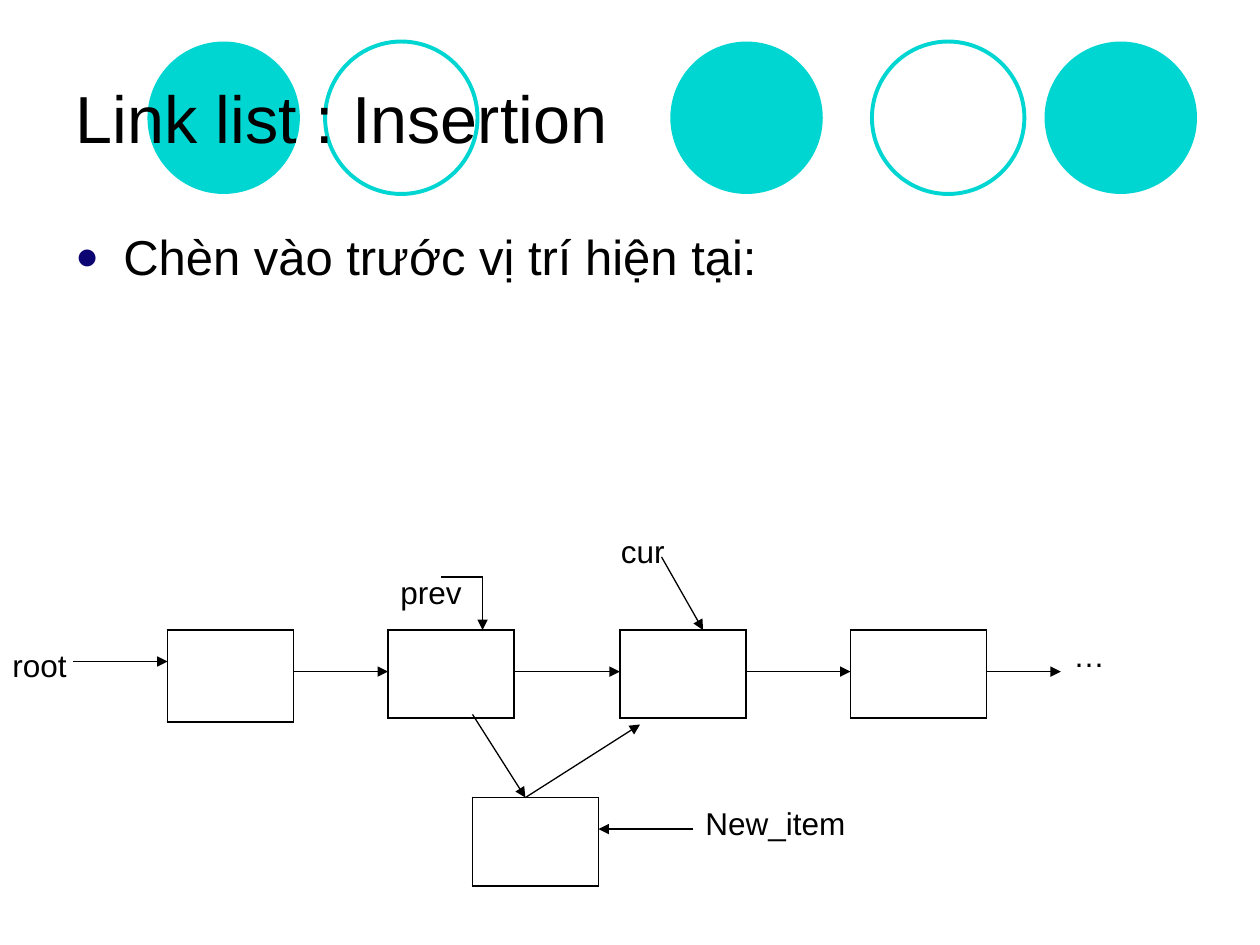
from lxml import etree
from pptx import Presentation
from pptx import util as u
from pptx.dml.color import RGBColor
from pptx.enum import shapes, text
from pptx.oxml import ns

COLORS = {"ink": "000000", "circle": "00D6D1", "bullet": "0C0472"}
FONT = "Arial"
INSETS = {"margin_left": 0.1, "margin_right": 0.1, "margin_top": 0.05, "margin_bottom": 0.05}


def color(name):
    return RGBColor.from_string(COLORS[name])


def add_xml(parent, tag, **attributes):
    child = etree.SubElement(parent, ns.qn(tag))
    for name, value in attributes.items():
        child.set(name, value)
    return child


def add_text(slide, box, words, size, anchor=text.MSO_ANCHOR.TOP):
    frame = slide.shapes.add_textbox(*map(u.Inches, box)).text_frame
    frame.word_wrap = True
    frame.vertical_anchor = anchor
    for name, inset in INSETS.items():
        setattr(frame, name, u.Inches(inset))
    paragraph = frame.paragraphs[0]
    run = paragraph.add_run()
    run.text = words
    for name, value in {"name": FONT, "size": u.Pt(size)}.items():
        setattr(run.font, name, value)
    run.font.color.rgb = color("ink")
    return paragraph


def add_arrow(slide, start, end, head=True):
    line = slide.shapes.add_connector(
        shapes.MSO_CONNECTOR.STRAIGHT, *map(u.Inches, (*start, *end)))
    line.line.color.rgb = color("ink")
    line.line.width = u.Pt(0.75)
    if head:
        add_xml(line.line._get_or_add_ln(), "a:tailEnd", type="triangle")
    add_xml(line._element.spPr, "a:effectLst")


def add_node(slide, left, top, width=1, height=0.7):
    """Place one list node: a one-cell table with a thin border."""
    box = map(u.Inches, (left, top, width, height))
    table = slide.shapes.add_table(1, 1, *box).table
    table.first_row = table.horz_banding = False
    cell = table.cell(0, 0)
    properties = cell._tc.get_or_add_tcPr()
    for side in ("a:lnL", "a:lnR", "a:lnT", "a:lnB"):
        border = add_xml(properties, side, w=str(u.Pt(1.08)))
        add_xml(add_xml(border, "a:solidFill"), "a:srgbClr", val=COLORS["ink"])
    cell.fill.background()


def add_header(slide, left, top, width, height):
    diameter = 1.21
    circles = [(0.67, True), (2.08, False), (4.82, True), (6.42, False), (7.79, True)]
    for offset, filled in circles:
        box = map(u.Inches, (left + offset, top + 0.03, diameter, diameter))
        circle = slide.shapes.add_shape(shapes.MSO_SHAPE.OVAL, *box)
        circle.shadow.inherit = False
        if filled:
            circle.fill.solid()
            circle.fill.fore_color.rgb = color("circle")
            circle.line.fill.background()
        else:
            circle.fill.background()
            circle.line.color.rgb = color("circle")
            circle.line.width = u.Pt(2.25)
    add_text(slide, (left, top, width, height), "Link list : Insertion", 38,
             text.MSO_ANCHOR.MIDDLE)


def add_body(slide, left, top, width, height):
    paragraph = add_text(slide, (left, top, width, height),
                         "Chèn vào trước vị trí hiện tại:", 28)
    paragraph.space_before = u.Pt(7)
    properties = paragraph._p.get_or_add_pPr()
    properties.set("marL", str(u.Inches(0.38)))
    properties.set("indent", str(-u.Inches(0.38)))
    add_xml(add_xml(properties, "a:buClr"), "a:srgbClr", val=COLORS["bullet"])
    add_xml(properties, "a:buSzPct", val="80000")
    add_xml(properties, "a:buFont", typeface=FONT)
    add_xml(properties, "a:buChar", char="●")


def add_list_diagram(slide, left, top):
    """Draw the linked list, with its row of nodes at the given top."""
    def at(x, y):
        return left + x, top + y

    nodes = [(1.33, 1, 0.73), (3.08, 1, 0.7), (4.92, 1, 0.7), (6.75, 1.08, 0.7)]
    for x, width, height in nodes:
        add_node(slide, *at(x, 0), width, height)
    add_node(slide, *at(3.75, 1.33))

    labels = [("root", 0, 0.08, 1.08), ("prev", 3.08, -0.5, 0.92),
              ("cur", 4.83, -0.83, 0.83), ("…", 8.42, 0, 1),
              ("New_item", 5.5, 1.33, 2.5)]
    for words, x, y, width in labels:
        add_text(slide, (*at(x, y), width, 0.4), words, 18)

    next_starts = [x for x, *_ in nodes[1:]] + [8.42]
    for (x, width, _), next_start in zip(nodes, next_starts):
        add_arrow(slide, at(x + width, 0.33), at(next_start, 0.33))

    pointers = [((0.58, 0.25), (1.33, 0.25)),    # root
                ((3.83, -0.42), (3.83, 0)),      # prev
                ((5.25, -0.58), (5.58, 0)),      # cur
                ((5.5, 1.58), (4.75, 1.58)),     # New_item
                ((3.75, 0.67), (4.17, 1.33)),    # prev to new node
                ((4.17, 1.33), (5.08, 0.75))]    # new node to cur
    for start, end in pointers:
        add_arrow(slide, at(*start), at(*end))
    add_arrow(slide, at(3.5, -0.42), at(3.83, -0.42), head=False)


def main():
    presentation = Presentation()
    presentation.slide_width = u.Inches(10)
    presentation.slide_height = u.Inches(7.5)
    slide = presentation.slides.add_slide(presentation.slide_layouts[6])
    add_header(slide, 0.5, 0.3, 9, 1.25)
    add_body(slide, 0.5, 1.75, 8.58, 1.17)
    add_list_diagram(slide, 0, 5)
    presentation.save("out.pptx")


if __name__ == "__main__":
    main()
